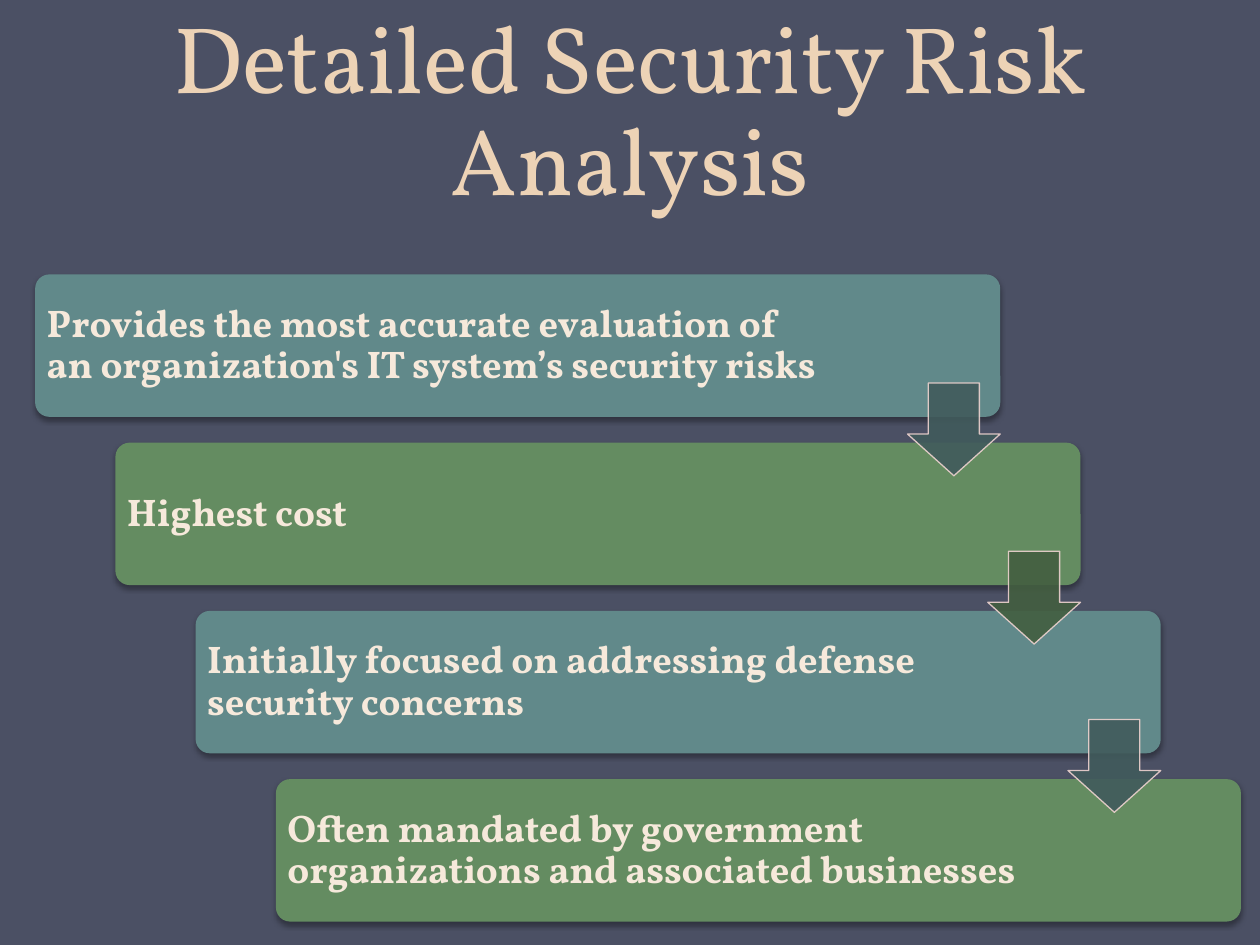
from pptx import Presentation
from pptx.dml.color import RGBColor
from pptx.enum.shapes import MSO_SHAPE
from pptx.enum.text import MSO_ANCHOR, PP_ALIGN
from pptx.oxml import parse_xml
from pptx.oxml.ns import nsdecls, qn
from pptx.util import Pt

ROUNDED, DOWN_ARROW = MSO_SHAPE.ROUNDED_RECTANGLE, MSO_SHAPE.DOWN_ARROW
MIDDLE, BOTTOM = MSO_ANCHOR.MIDDLE, MSO_ANCHOR.BOTTOM
LEFT, CENTER = PP_ALIGN.LEFT, PP_ALIGN.CENTER

BACKGROUND = RGBColor(0x4B, 0x50, 0x64)
TITLE_COLOR = RGBColor(0xED, 0xD3, 0xB6)
CARD_TEXT = RGBColor(0xF6, 0xE9, 0xDB)
TEAL = RGBColor(0x61, 0x89, 0x8A)
GREEN = RGBColor(0x64, 0x8C, 0x61)
DARK_TEAL = RGBColor(0x41, 0x5B, 0x5C)
DARK_GREEN = RGBColor(0x43, 0x5E, 0x40)
ARROW_LINE = RGBColor(0xEE, 0xD3, 0xD0)

# Staircase geometry, in points
CARD_LEFT, CARD_TOP = 20.1, 156.8
CARD_WIDTH, CARD_HEIGHT = 551.5, 81.4
STEP_X, STEP_Y = 45.85, 96.15
ARROW_SIZE, ARROW_DROP = 53, 62.1

TITLE_FONT = {"name": "Vollkorn", "size": Pt(54)}
CARD_FONT = {"name": "Vollkorn", "size": Pt(22), "bold": True}
TITLE_FRAME = {"vertical_anchor": BOTTOM, "word_wrap": True}
CARD_FRAME = {
    "vertical_anchor": MIDDLE, "word_wrap": True,
    "margin_left": Pt(6.6), "margin_right": Pt(6.6),
    "margin_top": Pt(6.6), "margin_bottom": Pt(6.6),
}

# Text, text width, card colour, colour of the arrow leading on
STEPS = [
    ("Provides the most accurate evaluation of an organization's IT system’s security risks",
     461.5, TEAL, DARK_TEAL),
    ("Highest cost", 452.5, GREEN, DARK_GREEN),
    ("Initially focused on addressing defense security concerns", 452.5, TEAL, DARK_TEAL),
    ("Often mandated by government organizations and associated businesses",
     452.5, GREEN, None),
]


def set_attributes(target, values):
    for name, value in values.items():
        setattr(target, name, value)


def add_text(slide, text, box, frame_format, paragraph_format, font_format, color):
    frame = slide.shapes.add_textbox(*map(Pt, box)).text_frame
    set_attributes(frame, frame_format)
    paragraph = frame.paragraphs[0]
    set_attributes(paragraph, paragraph_format)
    run = paragraph.add_run()
    run.text = text
    set_attributes(run.font, font_format)
    run.font.color.rgb = color


def add_filled_shape(slide, kind, box, adjustments, color):
    shape = slide.shapes.add_shape(kind, *map(Pt, box))
    for index, value in enumerate(adjustments):
        shape.adjustments[index] = value
    shape.shadow.inherit = False
    shape.fill.solid()
    shape.fill.fore_color.rgb = color
    return shape


def add_card(slide, left, top, color):
    box = (left, top, CARD_WIDTH, CARD_HEIGHT)
    shape = add_filled_shape(slide, ROUNDED, box, [0.1], color)
    shape.line.fill.background()
    # Soft shadow straight below the card
    shape._element.spPr.find(qn("a:effectLst")).append(parse_xml(
        f'<a:outerShdw {nsdecls("a")} blurRad="{Pt(3.1)}" dist="{Pt(1.8)}" '
        'dir="5400000" rotWithShape="0"><a:srgbClr val="000000">'
        '<a:alpha val="35000"/></a:srgbClr></a:outerShdw>'))


def add_arrow(slide, left, top, color):
    box = (left, top, ARROW_SIZE, ARROW_SIZE)
    # The first adjustment is the shaft width, the second the head length
    shape = add_filled_shape(slide, DOWN_ARROW, box, [0.55, 0.45], color)
    shape.line.color.rgb = ARROW_LINE
    shape.line.width = Pt(0.75)
    # Fill and outline are 90% opaque
    for color_element in shape._element.spPr.iter(qn("a:srgbClr")):
        color_element.append(parse_xml(f'<a:alpha {nsdecls("a")} val="90000"/>'))


def main():
    presentation = Presentation()
    presentation.slide_width, presentation.slide_height = Pt(720), Pt(540)
    slide = presentation.slides.add_slide(presentation.slide_layouts[6])
    slide.background.fill.solid()
    slide.background.fill.fore_color.rgb = BACKGROUND

    # Title
    add_text(slide, "Detailed Security Risk Analysis", (36, 0, 648, 126), TITLE_FRAME,
             {"alignment": CENTER, "line_spacing": Pt(58)}, TITLE_FONT, TITLE_COLOR)

    # Cards stepping down to the right
    places = [(CARD_LEFT + i * STEP_X, CARD_TOP + i * STEP_Y) for i in range(len(STEPS))]
    for (left, top), (text, text_width, color, _) in zip(places, STEPS):
        add_card(slide, left, top, color)
        add_text(slide, text, (left, top, text_width, CARD_HEIGHT), CARD_FRAME,
                 {"alignment": LEFT, "line_spacing": 0.9}, CARD_FONT, CARD_TEXT)

    # Arrows over the gaps, flush with the right edge of the upper card
    for (left, top), (*_, arrow_color) in zip(places, STEPS):
        if arrow_color is not None:
            add_arrow(slide, left + CARD_WIDTH - ARROW_SIZE, top + ARROW_DROP, arrow_color)

    presentation.save("out.pptx")


if __name__ == "__main__":
    main()
